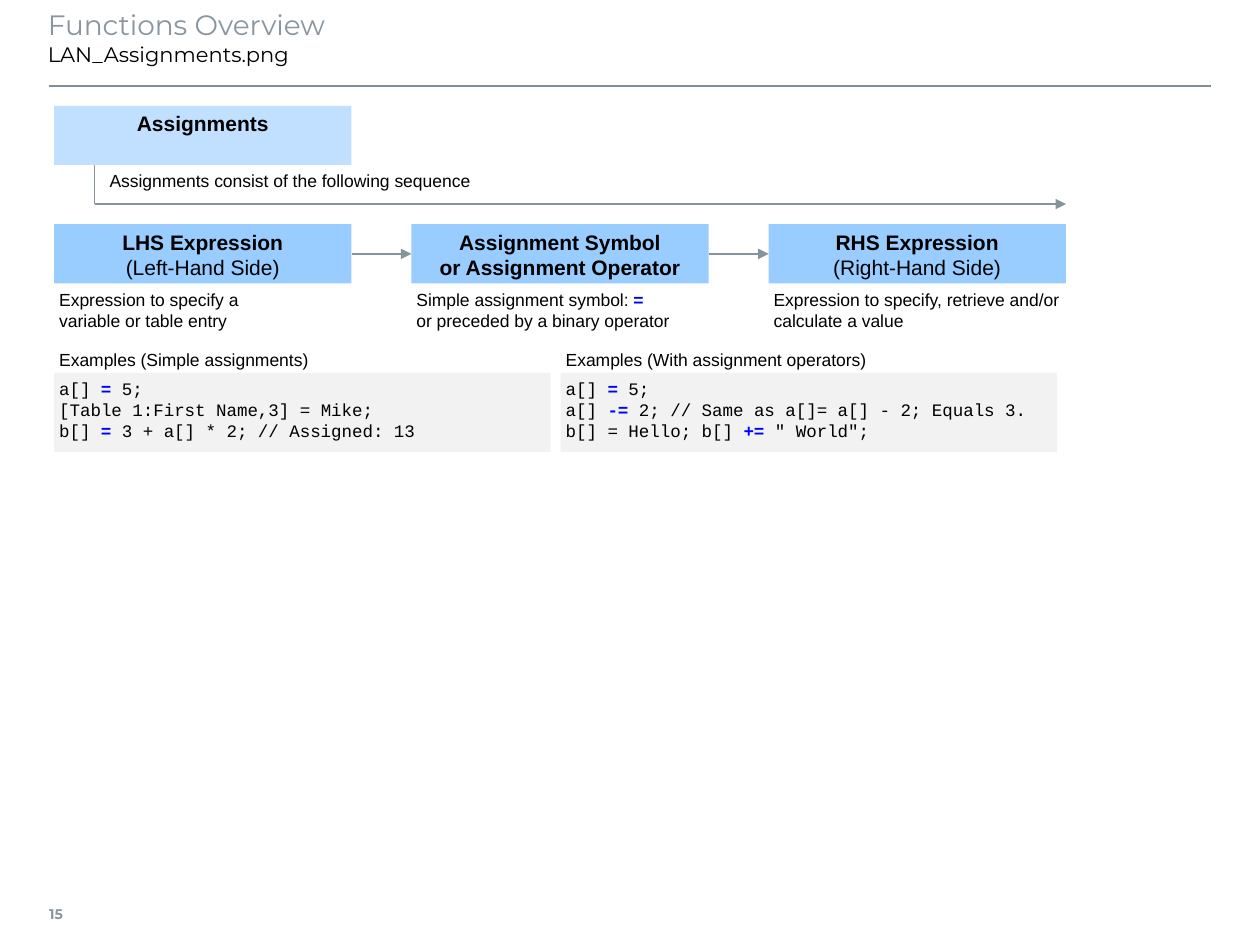
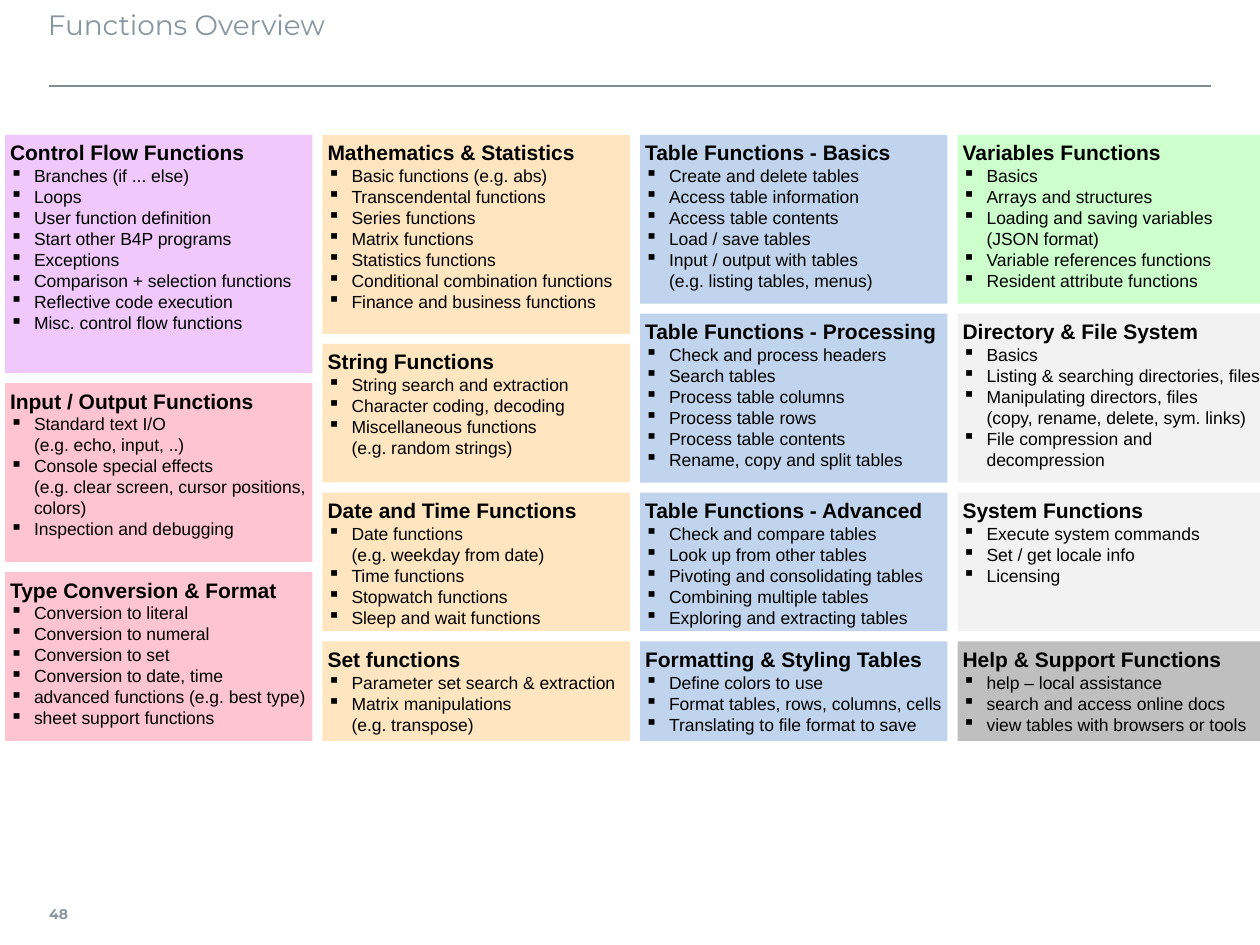
"""Build two slides: the assignment sequence and the functions overview."""
from copy import deepcopy

from lxml import etree
from pptx import Presentation
from pptx.dml.color import RGBColor
from pptx.enum.shapes import MSO_CONNECTOR, MSO_SHAPE
from pptx.enum.text import MSO_ANCHOR, MSO_AUTO_SIZE, PP_ALIGN
from pptx.oxml.ns import qn
from pptx.util import Inches, Pt

STRAIGHT, RECT = MSO_CONNECTOR.STRAIGHT, MSO_SHAPE.RECTANGLE
TOP, MIDDLE = MSO_ANCHOR.TOP, MSO_ANCHOR.MIDDLE
LEFT, CENTER = PP_ALIGN.LEFT, PP_ALIGN.CENTER
FIXED = MSO_AUTO_SIZE.NONE

BLACK, BLUE = RGBColor(0, 0, 0), RGBColor(0, 0, 0xFF)
GREY, RULE = RGBColor(0x89, 0x96, 0xA0), RGBColor(0x80, 0x8D, 0x97)
ARROW = RGBColor(0x85, 0x93, 0x9D)
PALE, SKY = RGBColor(0xC1, 0xE0, 0xFF), RGBColor(0x99, 0xCC, 0xFF)
LILAC, PINK = RGBColor(0xF0, 0xC8, 0xFC), RGBColor(0xFF, 0xC4, 0xD2)
SAND, STEEL = RGBColor(0xFF, 0xE6, 0xC1), RGBColor(0xC1, 0xD4, 0xEE)
MINT, LIGHT = RGBColor(0xCC, 0xFF, 0xCC), RGBColor(0xF2, 0xF2, 0xF2)
SILVER = RGBColor(0xBF, 0xBF, 0xBF)

TITLE = {"name": "Montserrat", "size": Pt(16), "bold": False, "color": GREY}
SUB = TITLE | {"size": Pt(12), "color": BLACK}
PAGE = TITLE | {"size": Pt(8), "bold": True}
BODY = {"name": "Arial", "size": Pt(10), "bold": False, "color": BLACK}
HEAD = BODY | {"size": Pt(12), "bold": True}
PLAIN = HEAD | {"bold": False}
KEY = BODY | {"bold": True, "color": BLUE}
CODE = BODY | {"name": "Courier New"}
SIGN = CODE | {"bold": True, "color": BLUE}

INSET = (0.04, 0.04, 0.04, 0.04)
EDGE, GAP = 0.43, 0.08
STEP_W, STEP_H, STEP_Y, STEP_GAP = 2.36, 0.47, 1.78, 0.475
CODE_W, CODE_H = 3.94, 0.63
CARD_X, CARD_Y, CARD_W = 0.04, 1.07, 2.44

STEPS = [
    ([[("LHS Expression", HEAD)], [("(Left-Hand Side)", PLAIN)]],
     [[("Expression to specify a\nvariable or table entry", BODY)]]),
    ([[("Assignment Symbol", HEAD)], [("or Assignment Operator", HEAD)]],
     [[("Simple assignment symbol: ", BODY), ("=", KEY)],
      [("or preceded by a binary operator", BODY)]]),
    ([[("RHS Expression", HEAD)], [("(Right-Hand Side)", PLAIN)]],
     [[("Expression to specify, retrieve and/or", BODY)],
      [("calculate a value", BODY)]]),
]

SAMPLES = [
    ("Examples (Simple assignments)", [
        [("a[] ", CODE), ("=", SIGN), (" 5;", CODE)],
        [("[Table 1:First Name,3] = Mike;", CODE)],
        [("b[] ", CODE), ("=", SIGN),
         (" 3 + a[] * 2; // Assigned: 13", CODE)]]),
    ("Examples (With assignment operators)", [
        [("a[] ", CODE), ("=", SIGN), (" 5;", CODE)],
        [("a[] ", CODE), ("-=", SIGN),
         (" 2; // Same as a[]= a[] - 2; Equals 3.", CODE)],
        [("b[] = Hello; b[] ", CODE), ("+=", SIGN),
         (' " World";', CODE)]]),
]

COLUMNS = [
    [(1.89, LILAC, "Control Flow Functions", [
        "Branches (if ... else)", "Loops", "User function definition",
        "Start other B4P programs", "Exceptions",
        "Comparison + selection functions", "Reflective code execution",
        "Misc. control flow functions"]),
     (1.42, PINK, "Input / Output Functions", [
         "Standard text I/O\n(e.g. echo, input, ..)",
         "Console special effects\n(e.g. clear screen, cursor positions,"
         "\ncolors)",
         "Inspection and debugging"]),
     (1.34, PINK, "Type Conversion & Format", [
         "Conversion to literal", "Conversion to numeral",
         "Conversion to set", "Conversion to date, time",
         "advanced functions (e.g. best type)",
         "sheet support functions"])],
    [(1.58, SAND, "Mathematics & Statistics", [
        "Basic functions (e.g. abs)", "Transcendental functions",
        "Series functions", "Matrix functions", "Statistics functions",
        "Conditional combination functions",
        "Finance and business functions"]),
     (1.1, SAND, "String Functions", [
         "String search and extraction", "Character coding, decoding",
         "Miscellaneous functions\n(e.g. random strings)"]),
     (1.1, SAND, "Date and Time Functions", [
         "Date functions\n(e.g. weekday from date)", "Time functions",
         "Stopwatch functions", "Sleep and wait functions"]),
     (0.79, SAND, "Set functions", [
         "Parameter set search & extraction",
         "Matrix manipulations\n(e.g. transpose)"])],
    [(1.34, STEEL, "Table Functions - Basics", [
        "Create and delete tables", "Access table information",
        "Access table contents", "Load / save tables",
        "Input / output with tables\n(e.g. listing tables, menus)"]),
     (1.34, STEEL, "Table Functions - Processing", [
         "Check and process headers", "Search tables",
         "Process table columns", "Process table rows",
         "Process table contents", "Rename, copy and split tables"]),
     (1.1, STEEL, "Table Functions - Advanced", [
         "Check and compare tables", "Look up from other tables",
         "Pivoting and consolidating tables", "Combining multiple tables",
         "Exploring and extracting tables"]),
     (0.79, STEEL, "Formatting & Styling Tables", [
         "Define colors to use", "Format tables, rows, columns, cells",
         "Translating to file format to save"])],
    [(1.34, MINT, "Variables Functions", [
        "Basics", "Arrays and structures",
        "Loading and saving variables\n(JSON format)",
        "Variable references functions", "Resident attribute functions"]),
     (1.34, LIGHT, "Directory & File System", [
         "Basics", "Listing & searching directories, files",
         "Manipulating directors, files\n(copy, rename, delete, sym. links)",
         "File compression and\ndecompression"]),
     (1.1, LIGHT, "System Functions", [
         "Execute system commands", "Set / get locale info", "Licensing"]),
     (0.79, SILVER, "Help & Support Functions", [
         "help – local assistance", "search and access online docs",
         "view tables with browsers or tools"])],
]


def style(font, form):
    for key, val in form.items():
        if key == "color":
            font.color.rgb = val
        else:
            setattr(font, key, val)


def bullet(para):
    props = para._p.get_or_add_pPr()
    props.set("marL", str(Inches(0.19)))
    props.set("indent", str(-Inches(0.19)))
    etree.SubElement(props, qn("a:buChar")).set("char", "▪")


def write(shape, paras, align=LEFT, anchor=TOP, inset=INSET, wrap=False,
          listed=False):
    frame = shape.text_frame
    form = {"auto_size": FIXED, "word_wrap": wrap, "vertical_anchor": anchor}
    sides = ("margin_left", "margin_top", "margin_right", "margin_bottom")
    form |= {side: Inches(val) for side, val in zip(sides, inset)}
    for key, val in form.items():
        setattr(frame, key, val)
    for i, runs in enumerate(paras):
        para = frame.add_paragraph() if i else frame.paragraphs[0]
        para.alignment = align
        if listed and i:
            bullet(para)
        for text, look in runs:
            for j, line in enumerate(text.split("\n")):
                if j:
                    para.add_line_break()
                    feed = para._p.findall(qn("a:br"))[-1]
                    feed.append(deepcopy(run._r.rPr))
                if line:
                    run = para.add_run()
                    run.text = line
                    style(run.font, look)


def box(slide, area, fill, paras, **form):
    shape = slide.shapes.add_shape(RECT, *map(Inches, area))
    shape.shadow.inherit = False
    shape.fill.solid()
    shape.fill.fore_color.rgb = fill
    shape.line.fill.background()
    write(shape, paras, **form)
    return shape


def label(slide, area, paras, **form):
    write(slide.shapes.add_textbox(*map(Inches, area)), paras, **form)


def link(slide, ends, color=ARROW, width=0.75, head=True):
    line = slide.shapes.add_connector(STRAIGHT, *map(Inches, ends))
    line.line.color.rgb = color
    line.line.width = Pt(width)
    if head:
        tail = etree.SubElement(line.line._get_or_add_ln(), qn("a:tailEnd"))
        tail.set("type", "triangle")
    etree.SubElement(line._element.spPr, qn("a:effectLst"))
    return line


def start(deck, page, runs):
    slide = deck.slides.add_slide(deck.slide_layouts[5])
    title = slide.shapes.title
    area = map(Inches, (0.38, 0.01, 9.21, 0.63))
    for key, val in zip(("left", "top", "width", "height"), area):
        setattr(title, key, val)
    write(title, [runs], inset=(0, 0.05, 0.1, 0.05), wrap=True)
    link(slide, (0.39, 0.68, 9.61, 0.68), RULE, 1, False)
    label(slide, (0.39, 7.06, 0.35, 0.39), [[(page, PAGE)]],
          anchor=MIDDLE, inset=(0, 0.05, 0.08, 0.05))
    return slide


def assign(deck):
    slide = start(deck, "15", [("Functions Overview\n", TITLE),
                               ("LAN_Assignments.png", SUB)])
    box(slide, (EDGE, 0.84, STEP_W, STEP_H), PALE,
        [[("Assignments", HEAD)]], align=CENTER)
    link(slide, (0.75, 1.31, 0.75, 1.62), head=False)
    link(slide, (0.75, 1.62, 8.46, 1.62))
    label(slide, (0.83, 1.31, 2.44, 0.24),
          [[("Assignments consist of the following sequence", BODY)]])
    last = None
    for i, (name, note) in enumerate(STEPS):
        x, mid = EDGE + i * (STEP_W + STEP_GAP), STEP_Y + STEP_H / 2
        step = box(slide, (x, STEP_Y, STEP_W, STEP_H), SKY, name,
                   align=CENTER)
        label(slide, (x, STEP_Y + STEP_H, STEP_W, 0.39), note)
        if last:
            line = link(slide, (x - STEP_GAP, mid, x, mid))
            line.begin_connect(last, 3)
            line.end_connect(step, 1)
        last = step
    for i, (name, code) in enumerate(SAMPLES):
        x = EDGE + i * (CODE_W + GAP)
        label(slide, (x, 2.73, 2.44, 0.24), [[(name, BODY)]])
        box(slide, (x, 2.96, CODE_W, CODE_H), LIGHT, code)


def survey(deck):
    slide = start(deck, "48", [("Functions Overview", TITLE)])
    for i, cards in enumerate(COLUMNS):
        x, y = CARD_X + i * (CARD_W + GAP), CARD_Y
        for high, fill, name, items in cards:
            paras = [[(name, HEAD)]] + [[(item, BODY)] for item in items]
            box(slide, (x, y, CARD_W, high), fill, paras, listed=True)
            y += high + GAP


def main():
    deck = Presentation()
    deck.slide_width, deck.slide_height = Inches(10), Inches(7.5)
    assign(deck)
    survey(deck)
    deck.save("out.pptx")


if __name__ == "__main__":
    main()
